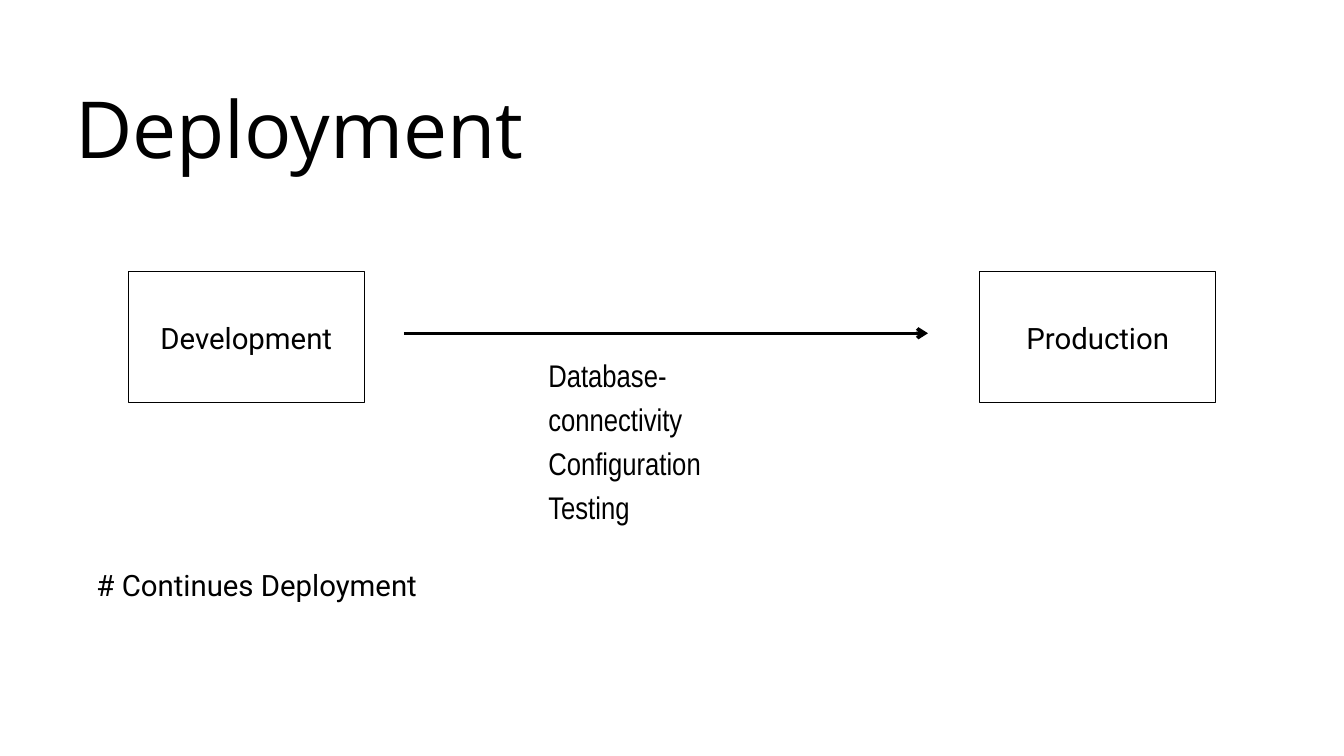
from pptx import Presentation
from pptx.dml.color import RGBColor
from pptx.enum.shapes import MSO_CONNECTOR, MSO_SHAPE
from pptx.enum.text import MSO_ANCHOR, PP_ALIGN
from pptx.oxml.ns import qn
from pptx.util import Pt
from lxml import etree

RECT = MSO_SHAPE.RECTANGLE
STRAIGHT = MSO_CONNECTOR.STRAIGHT
TOP = MSO_ANCHOR.TOP
LEFT, CENTER = PP_ALIGN.LEFT, PP_ALIGN.CENTER

COLORS = {"ink": "000000", "paper": "FFFFFF"}
TITLE, BODY, NARROW = "Open Sans", "Roboto", "Arial Narrow"


class Deck:
    """Holds the style and the current slide; all lengths are in points."""

    def __init__(self, slide):
        self.slide = slide
        self.ink = RGBColor.from_string(COLORS["ink"])
        self.paper = RGBColor.from_string(COLORS["paper"])

    def text(self, x, y, w, h, lines, font=BODY, size=31.5, align=LEFT):
        tf = self.slide.shapes.add_textbox(Pt(x), Pt(y), Pt(w), Pt(h)).text_frame
        tf.word_wrap = True
        tf.vertical_anchor = TOP
        tf.margin_left = tf.margin_right = tf.margin_top = tf.margin_bottom = 0
        for i, line in enumerate(lines):
            p = tf.add_paragraph() if i else tf.paragraphs[0]
            p.alignment = align
            p.line_spacing = Pt(round(size * 1.4, 1))
            r = p.add_run()
            r.text = line
            r.font.name = font
            r.font.size = Pt(size)
            r.font.color.rgb = self.ink

    def box(self, x, y, w, h):
        s = self.slide.shapes.add_shape(RECT, Pt(x), Pt(y), Pt(w), Pt(h))
        s.shadow.inherit = False
        s.fill.solid()
        s.fill.fore_color.rgb = self.paper
        s.line.color.rgb = self.ink
        s.line.width = Pt(0.75)

    def arrow(self, x1, x2, y):
        s = self.slide.shapes.add_connector(STRAIGHT, Pt(x1), Pt(y), Pt(x2), Pt(y))
        s.line.color.rgb = self.ink
        s.line.width = Pt(3.75)
        etree.SubElement(s.line._get_or_add_ln(), qn("a:tailEnd"), type="arrow")
        etree.SubElement(s._element.spPr, qn("a:effectLst"))


def main():
    prs = Presentation()
    prs.slide_width, prs.slide_height = Pt(1440), Pt(810)
    deck = Deck(prs.slides.add_slide(prs.slide_layouts[6]))

    # Title
    deck.text(80.6, 68.4, 772, 114, ["Deployment"], TITLE, 84.3)

    # Environments
    top, width, height = 290.7, 252.7, 140.2
    for x, name in ((137.5, "Development"), (1049.8, "Production")):
        deck.box(x, top, width, height)
        deck.text(x, top + 46.3, width, 42.5, [name], align=CENTER)

    # Path to production and its steps
    deck.arrow(432.7, 994.3, 357.1)
    steps = ["Database-connectivity", "Configuration", "Testing"]
    deck.text(587.5, 375.1, 265, 137.5, steps, NARROW, 33.5)

    # Footnote
    deck.text(80.6, 601.2, 388.8, 42.5, ["# Continues Deployment"], align=CENTER)

    prs.save("out.pptx")


if __name__ == "__main__":
    main()
